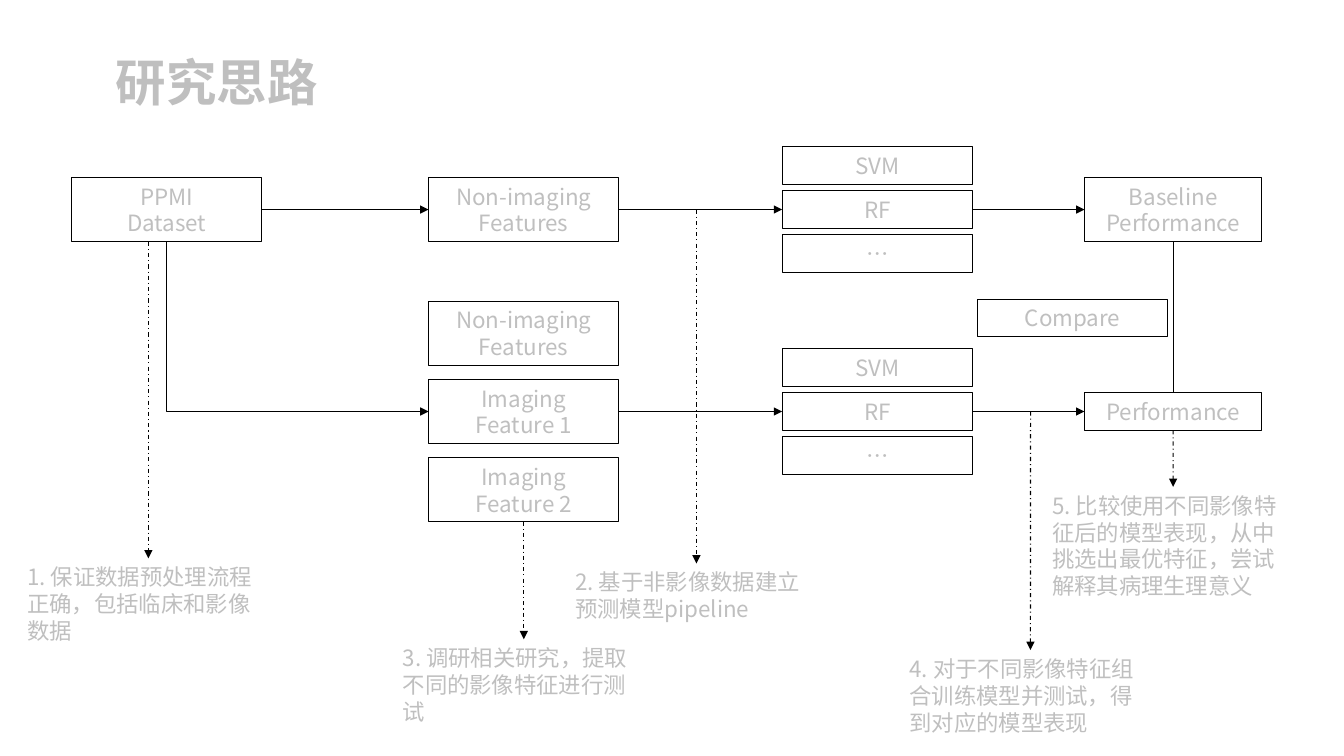
from dataclasses import dataclass

from lxml.etree import SubElement
from pptx import Presentation
from pptx.dml.color import RGBColor
from pptx.enum.dml import MSO_LINE_DASH_STYLE as Dash
from pptx.enum.shapes import MSO_CONNECTOR as Link, MSO_SHAPE as Shape
from pptx.enum.text import MSO_ANCHOR as Anchor, PP_ALIGN as Align
from pptx.oxml.ns import qn
from pptx.util import Cm, Pt

TOP, LEFT, BOTTOM, RIGHT = range(4)


@dataclass(frozen=True)
class Theme:
    """Colours, type sizes and line styles of the slide."""
    font: str = "Noto Sans CJK SC"
    text: RGBColor = RGBColor(0xBF, 0xBF, 0xBF)
    line: RGBColor = RGBColor(0, 0, 0)
    title_size: float = 36
    body_size: float = 16
    line_width: float = 0.75
    leading: float = 1.2


THEME = Theme()
MODELS = ["SVM", "RF", "…"]
BOX_WIDTH, RESULT_WIDTH, NOTE_WIDTH = 4.8, 4.47, 6.6
DATA_X, FEATURE_X, MODEL_X, RESULT_X = 1.8, 10.8, 19.71, 27.33
BASELINE_Y, IMAGING_Y = 5.28, 10.37


def height_for(lines):
    """Return the height in cm of a box holding this many body lines."""
    return round(0.25 + 0.685 * lines, 2)


def write(shape, text, size=THEME.body_size, align=Align.LEFT, bold=False):
    """Fill a shape with text in the theme's style."""
    frame = shape.text_frame
    frame.word_wrap = True
    frame.text = text
    for para in frame.paragraphs:
        para.alignment = align
        para.line_spacing = Pt(size * THEME.leading)
        for span in para.runs:
            span.font.name = THEME.font
            span.font.size = Pt(size)
            span.font.bold = bold
            span.font.color.rgb = THEME.text
            east_asian = SubElement(span.font._element, qn("a:ea"))
            east_asian.set("typeface", THEME.font)


def add_box(slide, text, left, middle, width=BOX_WIDTH):
    """Draw an outlined box centred vertically on the given middle."""
    height = height_for(text.count("\n") + 1)
    box = slide.shapes.add_shape(
        Shape.RECTANGLE, Cm(left), Cm(middle - height / 2), Cm(width), Cm(height))
    box.shadow.inherit = False
    box.fill.background()
    box.line.color.rgb = THEME.line
    box.line.width = Pt(THEME.line_width)
    box.text_frame.vertical_anchor = Anchor.MIDDLE
    write(box, text, align=Align.CENTER)
    return box


def add_stack(slide, texts, left, middle, pitch):
    """Draw evenly spaced boxes around a middle and return them."""
    first = middle - pitch * (len(texts) - 1) / 2
    return [add_box(slide, text, left, first + pitch * index)
            for index, text in enumerate(texts)]


def add_link(slide, start, end, kind=Link.STRAIGHT, arrow=True, dashed=False):
    """Connect two ends, each a (shape, side) pair or an (x, y) point in cm."""
    link = slide.shapes.add_connector(kind, 0, 0, 0, 0)
    if isinstance(start[0], (int, float)):
        link.begin_x, link.begin_y = Cm(start[0]), Cm(start[1])
    else:
        link.begin_connect(*start)
    link.end_connect(*end)
    link.line.color.rgb = THEME.line
    link.line.width = Pt(THEME.line_width)
    if dashed:
        link.line.dash_style = Dash.DASH_DOT
    if arrow:
        SubElement(link.line._get_or_add_ln(), qn("a:tailEnd")).set("type", "triangle")
    SubElement(link._element.spPr, qn("a:effectLst"))
    return link


def add_corner(slide, source, target):
    """Run an arrow down from the source, then right into the target."""
    link = add_link(slide, (source, BOTTOM), (target, LEFT), kind=Link.ELBOW)
    start_x, start_y = source.left + source.width // 2, source.top + source.height
    across = target.left - start_x
    down = target.top + target.height // 2 - start_y
    link.left = start_x + (across - down) // 2
    link.top = start_y + (down - across) // 2
    link.width, link.height = down, across
    properties = link._element.spPr
    properties.find(qn("a:prstGeom")).set("prst", "bentConnector2")
    frame = properties.find(qn("a:xfrm"))
    for name, value in (("rot", "16200000"), ("flipH", "1"), ("flipV", "0")):
        frame.set(name, value)


def add_title(slide, text, left, top, width, height):
    """Place the slide title."""
    box = slide.shapes.add_textbox(Cm(left), Cm(top), Cm(width), Cm(height))
    write(box, text, size=THEME.title_size, bold=True)


def add_pipeline(slide, features, result, middle):
    """Draw a row from features through models to a result."""
    feature_boxes = add_stack(slide, features, FEATURE_X, middle, 1.97)
    model_boxes = add_stack(slide, MODELS, MODEL_X, middle, 1.11)
    result_box = add_box(slide, result, RESULT_X, middle, RESULT_WIDTH)
    feature, model = feature_boxes[len(features) // 2], model_boxes[1]
    add_link(slide, (feature, RIGHT), (model, LEFT))
    add_link(slide, (model, RIGHT), (result_box, LEFT))
    return feature_boxes, result_box


def add_note(slide, text, lines, center, top, start):
    """Place a note under a dashed arrow that comes from the start."""
    note = slide.shapes.add_textbox(
        Cm(center - NOTE_WIDTH / 2), Cm(top), Cm(NOTE_WIDTH), Cm(height_for(lines)))
    write(note, text)
    add_link(slide, start, (note, TOP), dashed=True)


def build_slide(slide):
    """Lay out the research plan."""
    add_title(slide, "研究思路", 2.67, 1.17, 14.1, 1.8)
    dataset = add_box(slide, "PPMI\nDataset", DATA_X, BASELINE_Y)
    plain, baseline = add_pipeline(
        slide, ["Non-imaging\nFeatures"], "Baseline\nPerformance", BASELINE_Y)
    imaging, performance = add_pipeline(
        slide, ["Non-imaging\nFeatures", "Imaging\nFeature 1", "Imaging\nFeature 2"],
        "Performance", IMAGING_Y)
    add_link(slide, (dataset, RIGHT), (plain[0], LEFT))
    add_corner(slide, dataset, imaging[1])
    add_link(slide, (baseline, BOTTOM), (performance, TOP), arrow=False)
    add_box(slide, "Compare", 24.63, 8.01)

    feature_center = FEATURE_X + BOX_WIDTH / 2
    result_center = RESULT_X + RESULT_WIDTH / 2
    dataset_bottom = BASELINE_Y + height_for(2) / 2
    notes = [
        ("1. 保证数据预处理流程正确，包括临床和影像数据",
         3, 3.74, 14.07, (3.74, dataset_bottom)),
        ("2. 基于非影像数据建立预测模型pipeline",
         2, 17.55, 14.2, (17.55, BASELINE_Y)),
        ("3. 调研相关研究，提取不同的影像特征进行测试",
         3, feature_center, 16.11, (imaging[-1], BOTTOM)),
        ("4. 对于不同影像特征组合训练模型并测试，得到对应的模型表现",
         3, 25.97, 16.38, (25.97, IMAGING_Y)),
        ("5. 比较使用不同影像特征后的模型表现，从中挑选出最优特征，尝试解释其病理生理意义",
         4, result_center, 12.27, (performance, BOTTOM)),
    ]
    for note in notes:
        add_note(slide, *note)


def main():
    """Build and save the deck."""
    deck = Presentation()
    deck.slide_width, deck.slide_height = Cm(33.87), Cm(19.05)
    build_slide(deck.slides.add_slide(deck.slide_layouts[6]))
    deck.save("out.pptx")


if __name__ == "__main__":
    main()
